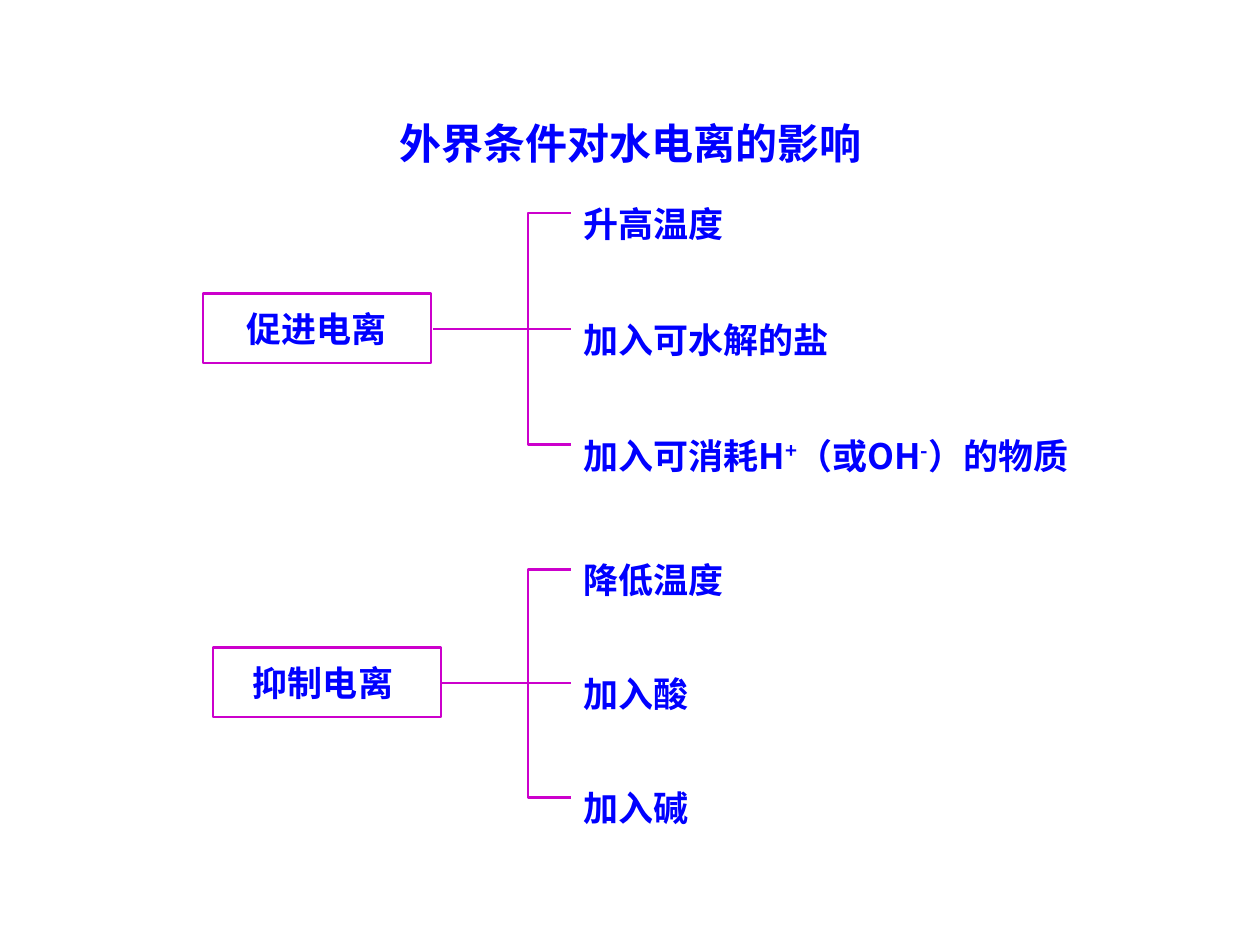
from dataclasses import dataclass

from lxml import etree
from pptx import Presentation
from pptx.dml.color import RGBColor
from pptx.enum.shapes import MSO_CONNECTOR, MSO_SHAPE
from pptx.enum.text import MSO_ANCHOR, MSO_AUTO_SIZE, PP_ALIGN
from pptx.oxml.ns import qn
from pptx.util import Inches, Pt

RECT = MSO_SHAPE.RECTANGLE
LINE = MSO_CONNECTOR.STRAIGHT
TOP, MIDDLE = MSO_ANCHOR.TOP, MSO_ANCHOR.MIDDLE
LEFT, CENTER = PP_ALIGN.LEFT, PP_ALIGN.CENTER
GROW = MSO_AUTO_SIZE.SHAPE_TO_FIT_TEXT

COLORS = {"text": "0000FF", "line": "CC00CC"}
HAN, LATIN = "Noto Sans CJK SC", "Arial"
SPINE, EDGE = 4.19, 4.53
BOX_W, BOX_H = 1.81, 0.55


@dataclass
class Bit:
    text: str
    raised: bool = False


@dataclass
class Item:
    top: float
    bits: list[Bit]
    font: str = LATIN
    height: float = 0.6


@dataclass
class Group:
    label: str
    left: float
    top: float
    start: float
    mid: float
    high: float
    low: float
    items: list[Item]


GROUPS = [
    Group("促进电离", 1.61, 2.33, 3.44, 2.61, 1.69, 3.53, [
        Item(1.39, [Bit("升高温度")], HAN),
        Item(2.31, [Bit("加入可水解的盐")]),
        Item(3.23, [Bit("加入可消耗H"), Bit("+", True), Bit("（或OH"),
                    Bit("-", True), Bit("）的物质")], HAN, 1.1),
    ]),
    Group("抑制电离 ", 1.69, 5.14, 3.51, 5.42, 4.52, 6.33, [
        Item(4.22, [Bit("降低温度")], HAN),
        Item(5.12, [Bit("加入酸")]),
        Item(6.03, [Bit("加入碱")]),
    ]),
]


def write(frame, bits: list[Bit], font: str, size: int = 20,
          align=LEFT, space: float = 1.5) -> None:
    para = frame.paragraphs[0]
    para.alignment = align
    para.line_spacing = space
    for bit in bits:
        run = para.add_run()
        run.text = bit.text
        run.font.name = font
        run.font.size = Pt(size)
        run.font.bold = True
        run.font.color.rgb = RGBColor.from_string(COLORS["text"])
        props = run._r.get_or_add_rPr()
        etree.SubElement(props, qn("a:ea")).set("typeface", HAN)
        if bit.raised:
            props.set("baseline", "30000")


def ink(line) -> None:
    line.color.rgb = RGBColor.from_string(COLORS["line"])
    line.width = Pt(1.5)


def draw_title(slide, text: str) -> None:
    title = slide.shapes.title
    title.left, title.top = Inches(1.46), Inches(0.68)
    title.width, title.height = Inches(7.09), Inches(0.7)
    frame = title.text_frame
    frame.vertical_anchor = TOP
    frame.word_wrap = True
    frame.auto_size = GROW
    write(frame, [Bit(text)], HAN, 24, CENTER)


def draw_box(slide, group: Group) -> None:
    box = slide.shapes.add_shape(RECT, Inches(group.left), Inches(group.top),
                                 Inches(BOX_W), Inches(BOX_H))
    box.shadow.inherit = False
    box.fill.background()
    ink(box.line)
    frame = box.text_frame
    frame.word_wrap = False
    frame.vertical_anchor = MIDDLE
    write(frame, [Bit(group.label)], LATIN, align=CENTER, space=1.0)


def draw_item(slide, item: Item) -> None:
    box = slide.shapes.add_textbox(Inches(EDGE), Inches(item.top),
                                   Inches(4.25), Inches(item.height))
    frame = box.text_frame
    frame.word_wrap = True
    frame.auto_size = GROW
    write(frame, item.bits, item.font)


def draw_fork(slide, group: Group) -> None:
    high, low = Inches(group.high), Inches(group.low)
    pen = slide.shapes.build_freeform(Inches(EDGE), high)
    pen.add_line_segments([(Inches(SPINE), high), (Inches(SPINE), low),
                           (Inches(EDGE), low)], close=False)
    fork = pen.convert_to_shape()
    fork.shadow.inherit = False
    fork.fill.background()
    ink(fork.line)
    stem = slide.shapes.add_connector(LINE, Inches(group.start), Inches(group.mid),
                                      Inches(EDGE), Inches(group.mid))
    ink(stem.line)
    etree.SubElement(stem._element.spPr, qn("a:effectLst"))


def main() -> None:
    deck = Presentation()
    deck.slide_width, deck.slide_height = Inches(10), Inches(7.5)
    slide = deck.slides.add_slide(deck.slide_layouts[5])
    draw_title(slide, "外界条件对水电离的影响")
    for group in GROUPS:
        draw_box(slide, group)
        for item in group.items:
            draw_item(slide, item)
        draw_fork(slide, group)
    deck.save("out.pptx")


if __name__ == "__main__":
    main()
